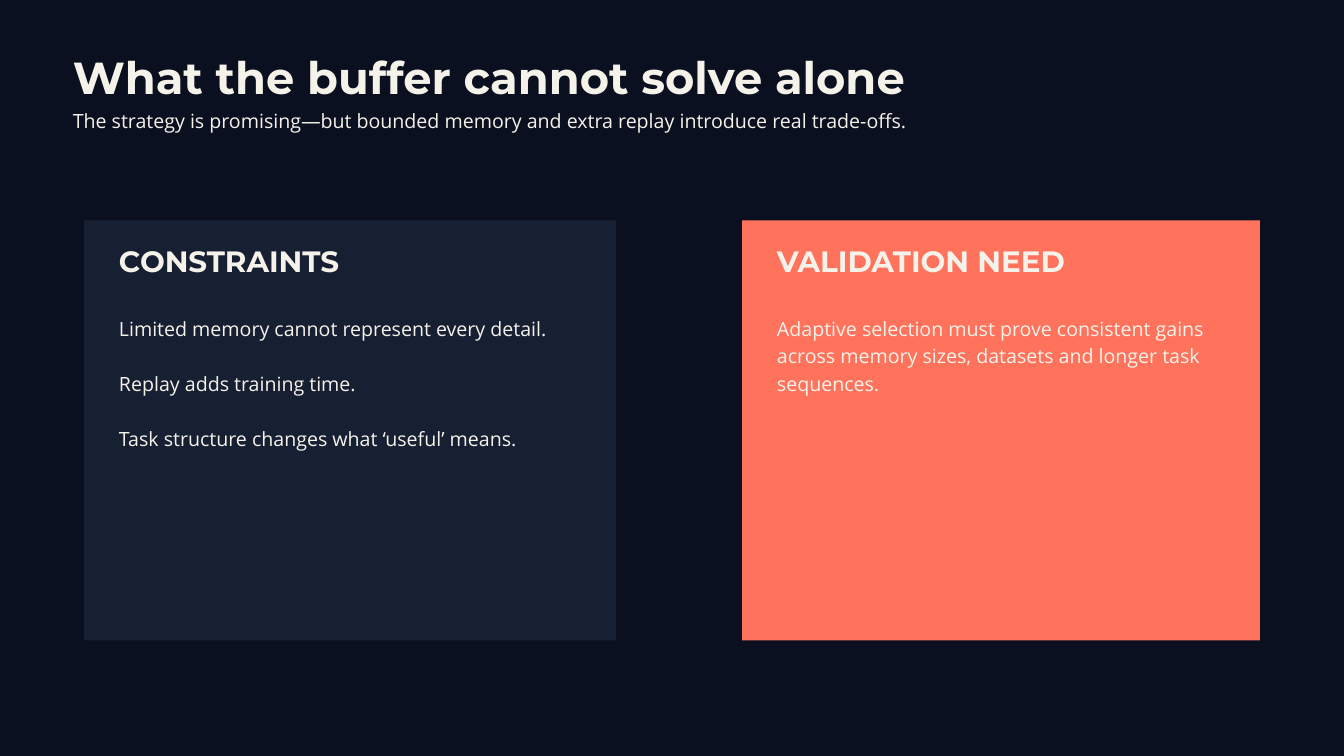
import pptx
import pptx.util
import pptx.dml.color
import pptx.enum.shapes
import pptx.enum.text

PX = 9525
INK = "0B1020"
CREAM = "F5F2EA"
NAVY = "172033"
CORAL = "FF735C"
BODY_LEADING = 29.4


def px(length):
    """Turn whole px into EMU."""
    return pptx.util.Emu(length * PX)


def rgb(value):
    """Turn a hex string into a colour."""
    return pptx.dml.color.RGBColor.from_string(value)


def add_text(slide, box, lines, font, size, leading, bold=False, gap=0):
    """Place paragraphs in a box without insets."""
    frame = slide.shapes.add_textbox(*map(px, box)).text_frame
    frame.word_wrap = True
    frame.auto_size = pptx.enum.text.MSO_AUTO_SIZE.SHAPE_TO_FIT_TEXT
    frame.margin_left = frame.margin_right = 0
    frame.margin_top = frame.margin_bottom = 0
    frame.text = "\n".join(lines)
    for index, paragraph in enumerate(frame.paragraphs):
        paragraph.line_spacing = pptx.util.Pt(leading)
        if index and gap:
            paragraph.space_before = pptx.util.Pt(gap)
        for run in paragraph.runs:
            run.font.name = font
            run.font.size = pptx.util.Pt(size)
            run.font.bold = bold
            run.font.color.rgb = rgb(CREAM)


def add_body(slide, box, lines):
    """Add running text with one empty line's gap between paragraphs."""
    add_text(slide, box, lines, "Open Sans", 21, BODY_LEADING, gap=BODY_LEADING)


def add_heading(slide, box, text, size, leading):
    """Add a bold heading."""
    add_text(slide, box, [text], "Montserrat", size, leading, bold=True)


def add_card(slide, left, width, fill, heading, points, body_size):
    """Add a filled panel with its heading and points."""
    panel = slide.shapes.add_shape(
        pptx.enum.shapes.MSO_SHAPE.RECTANGLE, px(left), px(315), px(width), px(600))
    panel.shadow.inherit = False
    panel.fill.solid()
    panel.fill.fore_color.rgb = rgb(fill)
    panel.line.fill.background()
    add_heading(slide, (left + 50, 353, 610, 47), heading, 31.5, 33.1)
    add_body(slide, (left + 50, 447, *body_size), points)


def main():
    """Build and save the slide."""
    deck = pptx.Presentation()
    deck.slide_width, deck.slide_height = px(1920), px(1080)
    slide = deck.slides.add_slide(deck.slide_layouts[6])
    slide.background.fill.solid()
    slide.background.fill.fore_color.rgb = rgb(INK)

    add_heading(slide, (104, 80, 1500, 68), "What the buffer cannot solve alone", 48, 50.4)
    add_body(slide, (104, 150, 1480, 37), [
        "The strategy is promising—but bounded memory and extra replay introduce real trade-offs."])
    add_card(slide, 120, 760, NAVY, "CONSTRAINTS", [
        "Limited memory cannot represent every detail.",
        "Replay adds training time.",
        "Task structure changes what ‘useful’ means."], (650, 192))
    add_card(slide, 1060, 740, CORAL, "VALIDATION NEED", [
        "Adaptive selection must prove consistent gains across memory sizes, "
        "datasets and longer task sequences."], (620, 114))
    deck.save("out.pptx")


if __name__ == "__main__":
    main()
